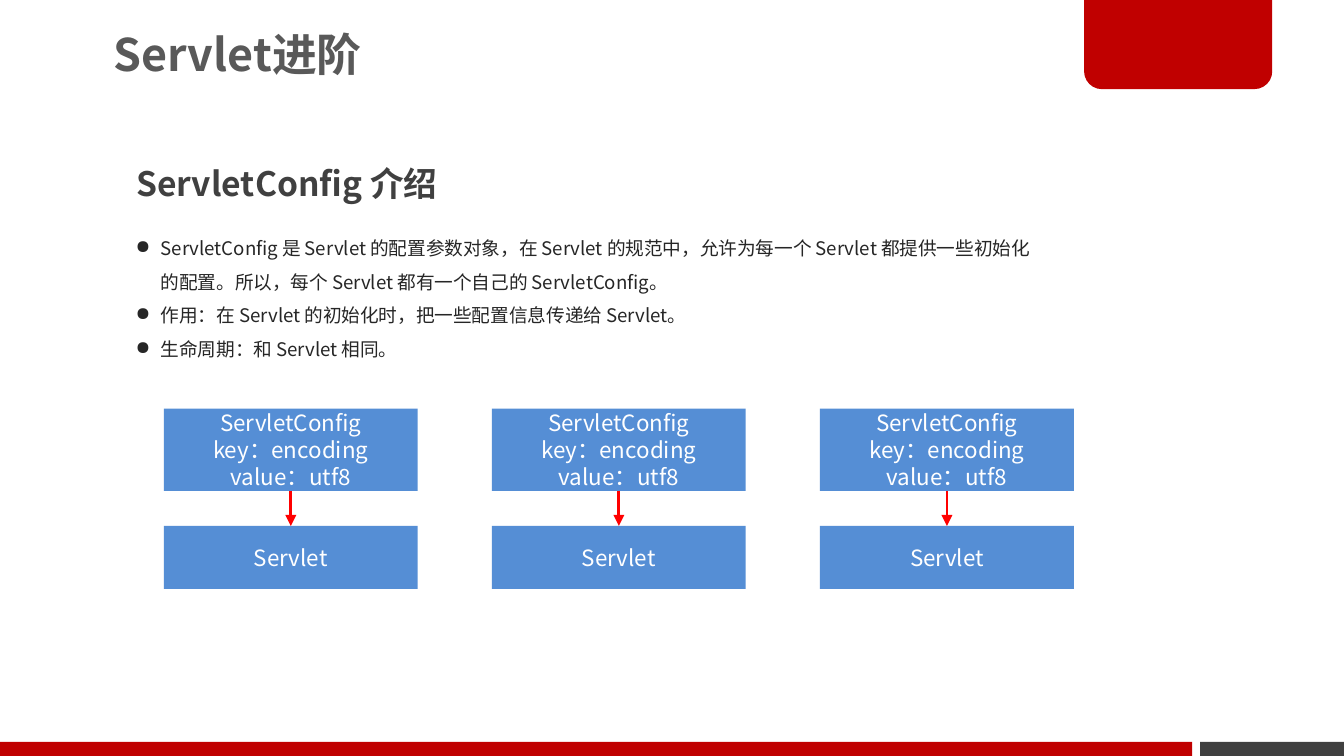
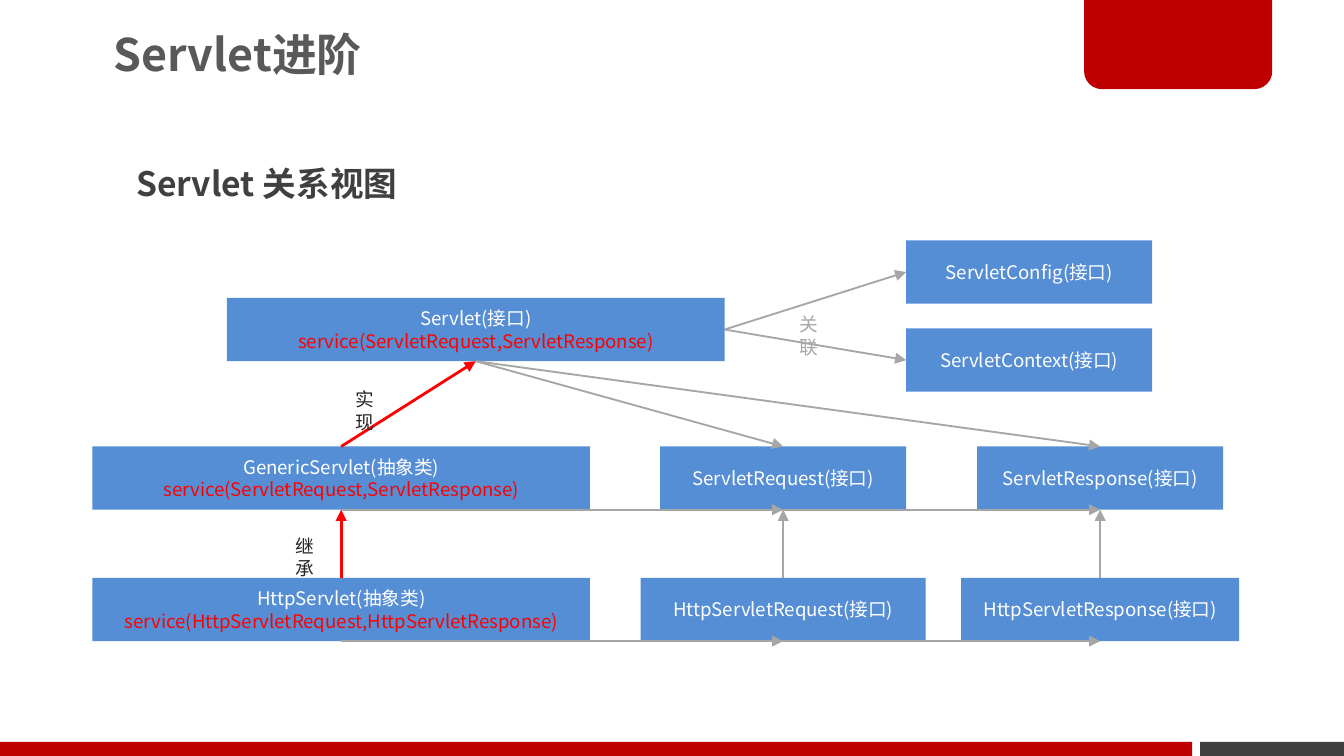
"""Build two slides on ServletConfig and the Servlet type hierarchy."""
from lxml.etree import SubElement
from pptx import Presentation
from pptx.dml.color import RGBColor
from pptx.enum.shapes import MSO_CONNECTOR, MSO_SHAPE
from pptx.enum.text import MSO_ANCHOR, PP_ALIGN
from pptx.oxml.ns import qn
from pptx.util import Pt

COLORS = {
    "band": "C00000", "corner": "404040", "title": "595959", "heading": "404040",
    "body": "262626", "box": "558ED5", "white": "FFFFFF", "red": "FF0000", "gray": "A6A6A6",
}
FONT = "Noto Sans CJK SC"


def add_text(slide, text, left, top, width, height, size=10, color="body", second=None,
             bold=False, fill=None, align=PP_ALIGN.LEFT, anchor=MSO_ANCHOR.TOP,
             spacing=1.0, bullet=None, wrap=True, inset=7.2):
    """Add a text box, or a filled rectangle when fill is given, with one paragraph per line."""
    area = Pt(left), Pt(top), Pt(width), Pt(height)
    if fill:
        holder = slide.shapes.add_shape(MSO_SHAPE.RECTANGLE, *area)
        holder.shadow.inherit = False
        holder.fill.solid()
        holder.fill.fore_color.rgb = RGBColor.from_string(COLORS[fill])
        holder.line.fill.background()
    else:
        holder = slide.shapes.add_textbox(*area)
    frame = holder.text_frame
    frame.word_wrap = wrap
    frame.vertical_anchor = anchor
    frame.margin_left = frame.margin_right = Pt(inset)
    frame.margin_top = frame.margin_bottom = Pt(3.6)
    for index, line in enumerate(text.split("\n")):
        paragraph = frame.add_paragraph() if index else frame.paragraphs[0]
        if bullet:
            properties = paragraph._p.get_or_add_pPr()
            properties.set("marL", str(Pt(13.5)))
            properties.set("indent", str(-Pt(13.5)))
            tint = SubElement(properties, qn("a:buClr"))
            SubElement(tint, qn("a:srgbClr")).set("val", COLORS[color])
            SubElement(properties, qn("a:buChar")).set("char", bullet)
        paragraph.alignment = align
        paragraph.line_spacing = spacing
        run = paragraph.add_run()
        run.text = line
        run.font.size = Pt(size)
        run.font.bold = bold
        run.font.name = FONT
        run.font.color.rgb = RGBColor.from_string(COLORS[second if index and second else color])
        SubElement(run._r.get_or_add_rPr(), qn("a:ea")).set("typeface", FONT)
    return holder


def add_arrow(slide, source, source_side, target, target_side, color, weight):
    """Join two boxes with an arrow that points at the target."""
    arrow = slide.shapes.add_connector(MSO_CONNECTOR.STRAIGHT, 0, 0, 0, 0)
    arrow.begin_connect(source, source_side)
    arrow.end_connect(target, target_side)
    arrow.line.color.rgb = RGBColor.from_string(COLORS[color])
    arrow.line.width = Pt(weight)
    SubElement(arrow.line._get_or_add_ln(), qn("a:tailEnd")).set("type", "triangle")
    SubElement(arrow._element.spPr, qn("a:effectLst"))


TOP, LEFT, BOTTOM, RIGHT = range(4)
BOX_STYLE = {"color": "white", "fill": "box", "align": PP_ALIGN.CENTER, "anchor": MSO_ANCHOR.MIDDLE}
BANDS = [
    (MSO_SHAPE.RECTANGLE, 643, 397.5, 77, 7.5, "corner"),
    (MSO_SHAPE.ROUND_2_SAME_RECTANGLE, 580.8, 0, 100.8, 47.8, "band"),
    (MSO_SHAPE.RECTANGLE, 0, 397.5, 638.7, 7.5, "band"),
]

prs = Presentation()
prs.slide_width, prs.slide_height = Pt(720), Pt(405)

slides = []
for heading in ("ServletConfig 介绍", "Servlet 关系视图"):
    slide = prs.slides.add_slide(prs.slide_layouts[6])
    for kind, left, top, width, height, color in BANDS:
        band = slide.shapes.add_shape(kind, Pt(left), Pt(top), Pt(width), Pt(height))
        band.shadow.inherit = False
        band.fill.solid()
        band.fill.fore_color.rgb = RGBColor.from_string(COLORS[color])
        band.line.fill.background()
        if kind == MSO_SHAPE.ROUND_2_SAME_RECTANGLE:
            band.adjustments[0], band.adjustments[1] = 0, 0.2
    add_text(slide, "Servlet进阶", 49.7, -1.4, 424, 64, size=24, color="title", bold=True,
             anchor=MSO_ANCHOR.MIDDLE, spacing=0.9, inset=11.2)
    add_text(slide, heading, 66, 72.7, 276.5, 39.6, size=18, color="heading", bold=True, spacing=1.5)
    slides.append(slide)
intro, relations = slides

add_text(intro,
         "ServletConfig 是 Servlet 的配置参数对象，在 Servlet 的规范中，允许为每一个 Servlet "
         "都提供一些初始化的配置。所以，每个 Servlet 都有一个自己的 ServletConfig。\n"
         "作用：在 Servlet 的初始化时，把一些配置信息传递给 Servlet。\n"
         "生命周期：和 Servlet 相同。",
         65.5, 117.4, 498.2, 79.2, spacing=1.5, bullet="●")
for column in range(3):
    left = 87.8 + column * 175.75
    config = add_text(intro, "ServletConfig\nkey：encoding\nvalue：utf8", left, 219, 136, 44,
                      size=12, **BOX_STYLE)
    servlet = add_text(intro, "Servlet", left, 281.8, 136, 33.8, size=12, **BOX_STYLE)
    add_arrow(intro, config, BOTTOM, servlet, TOP, "red", 1.5)

CLASS_X, REQUEST_X, RESPONSE_X, CONTEXT_X = 182.8, 419.6, 589.4, 551.4
PARENT_Y, HTTP_Y = 239.2, 309.6
types = {}
for name, kind, method, center, top, width in [
    ("Servlet", "接口", "service(ServletRequest,ServletResponse)", 254.9, 159.6, 266.6),
    ("GenericServlet", "抽象类", "service(ServletRequest,ServletResponse)", CLASS_X, PARENT_Y, 266.6),
    ("HttpServlet", "抽象类", "service(HttpServletRequest,HttpServletResponse)", CLASS_X, HTTP_Y, 266.6),
    ("ServletRequest", "接口", "", REQUEST_X, PARENT_Y, 131.8),
    ("ServletResponse", "接口", "", RESPONSE_X, PARENT_Y, 131.8),
    ("HttpServletRequest", "接口", "", REQUEST_X, HTTP_Y, 152.8),
    ("HttpServletResponse", "接口", "", RESPONSE_X, HTTP_Y, 149),
    ("ServletConfig", "接口", "", CONTEXT_X, 128.8, 131.8),
    ("ServletContext", "接口", "", CONTEXT_X, 176, 131.8),
]:
    caption = f"{name}({kind})" + (f"\n{method}" if method else "")
    types[name] = add_text(relations, caption, center - width / 2, top, width, 33.9,
                           second="red", **BOX_STYLE)

for source, source_side, target, target_side, color, weight in [
    ("GenericServlet", TOP, "Servlet", BOTTOM, "red", 1.5),
    ("Servlet", BOTTOM, "ServletRequest", TOP, "gray", 1),
    ("Servlet", BOTTOM, "ServletResponse", TOP, "gray", 1),
    ("GenericServlet", BOTTOM, "ServletRequest", BOTTOM, "gray", 1),
    ("GenericServlet", BOTTOM, "ServletResponse", BOTTOM, "gray", 1),
    ("HttpServlet", TOP, "GenericServlet", BOTTOM, "red", 1.5),
    ("HttpServletRequest", TOP, "ServletRequest", BOTTOM, "gray", 1),
    ("HttpServletResponse", TOP, "ServletResponse", BOTTOM, "gray", 1),
    ("HttpServlet", BOTTOM, "HttpServletRequest", BOTTOM, "gray", 1),
    ("HttpServlet", BOTTOM, "HttpServletResponse", BOTTOM, "gray", 1),
    ("Servlet", RIGHT, "ServletConfig", LEFT, "gray", 1),
    ("Servlet", RIGHT, "ServletContext", LEFT, "gray", 1),
]:
    add_arrow(relations, types[source], source_side, types[target], target_side, color, weight)

for relation, left, top, color in [
    ("实现", 183.5, 204.5, "body"), ("继承", 151, 283, "body"), ("关联", 421, 164.2, "gray"),
]:
    add_text(relations, relation, left, top, 34, 19.4, color=color, wrap=False)

prs.save("out.pptx")
